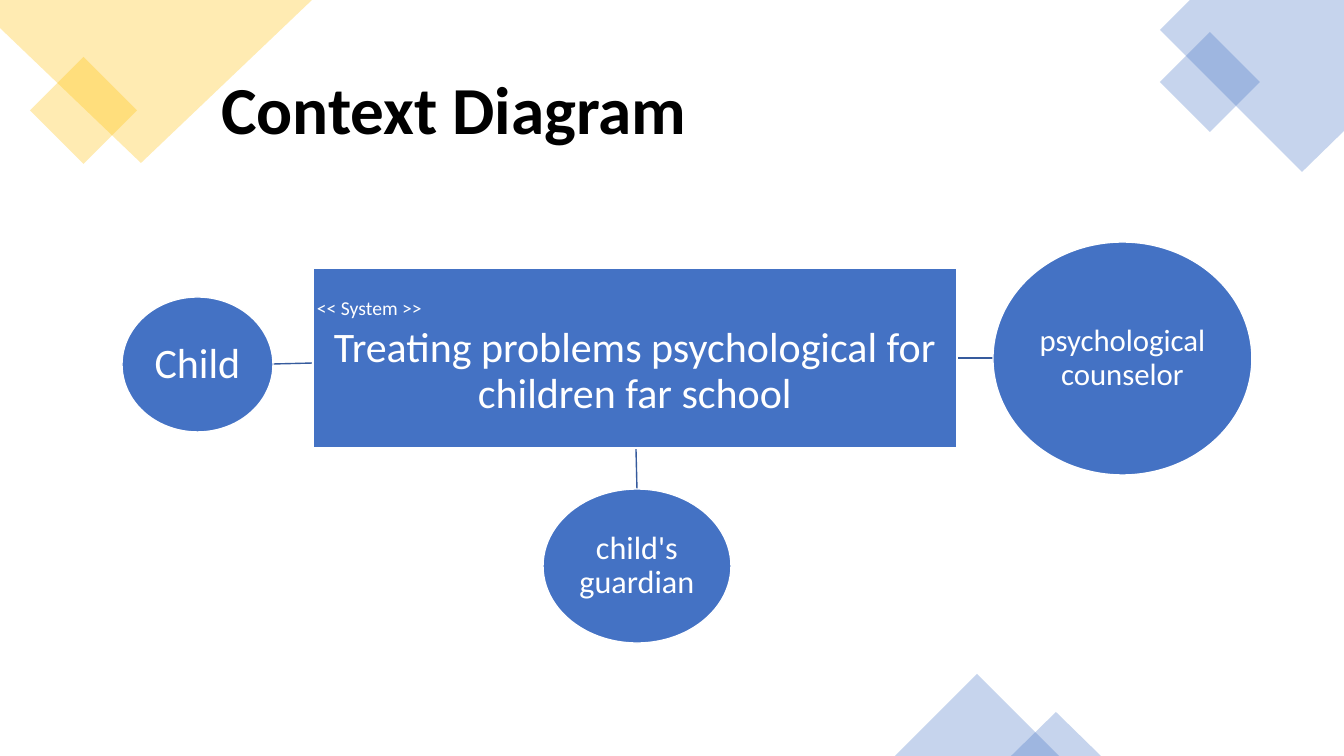
from lxml import etree
from pptx import Presentation
from pptx.dml.color import RGBColor
from pptx.enum.shapes import MSO_CONNECTOR, MSO_SHAPE as SHAPE
from pptx.enum.text import MSO_ANCHOR, PP_ALIGN as ALIGN
from pptx.oxml.ns import qn
from pptx.util import Pt

PX = 9144000 / 1008  # EMU per px
COLORS = {"yellow": "FFC000", "blue": "4472C4", "line": "365B9D",
          "white": "FFFFFF", "black": "000000"}


def px(*lengths):
    return [round(n * PX) for n in lengths]


def paint(sp, color, alpha=None):
    sp.shadow.inherit = False
    sp.fill.solid()
    sp.fill.fore_color.rgb = RGBColor.from_string(COLORS[color])
    if alpha is None:
        sp.line.color.rgb = RGBColor.from_string(COLORS["white"])
        sp.line.width = Pt(1)
    else:
        sp.line.fill.background()
        clr = sp.fill._xPr.find(".//" + qn("a:srgbClr"))
        etree.SubElement(clr, qn("a:alpha")).set("val", str(alpha * 1000))


prs = Presentation()
prs.slide_width, prs.slide_height = px(1344, 756)
s = prs.slides.add_slide(prs.slide_layouts[5])

# Corner decorations
for color, start, *points in [
    ("yellow", (0, 0), (312, 0), (141, 163), (0, 28)),
    ("blue", (1190, 0), (1344, 0), (1344, 131), (1302, 172), (1160, 30)),
]:
    builder = s.shapes.build_freeform(*start, scale=PX)
    builder.add_line_segments(points, close=True)
    paint(builder.convert_to_shape(), color, 30)

for kind, color, box in [
    (SHAPE.DIAMOND, "yellow", (30, 57, 107, 107)),
    (SHAPE.DIAMOND, "blue", (1160, 32, 100, 100)),
    (SHAPE.ISOSCELES_TRIANGLE, "blue", (895, 674, 164, 82)),
    (SHAPE.ISOSCELES_TRIANGLE, "blue", (1011, 712, 90, 44)),
]:
    paint(s.shapes.add_shape(kind, *px(*box)), color, 30)

# Title
title = s.shapes.title
title.left, title.top, title.width, title.height = px(211, 40, 1041, 146)
title.text_frame.vertical_anchor = MSO_ANCHOR.MIDDLE
p = title.text_frame.paragraphs[0]
p.text = "Context Diagram"
p.alignment = ALIGN.LEFT
p.line_spacing = 0.9
p.font.name, p.font.size, p.font.bold = "Calibri", Pt(48), True
p.font.color.rgb = RGBColor.from_string(COLORS["black"])

# Links between the system and its actors
for ends in [(273, 364, 313, 363), (636, 449, 637, 489), (957, 358, 993, 358)]:
    link = s.shapes.add_connector(MSO_CONNECTOR.STRAIGHT, *px(*ends))
    link.line.color.rgb = RGBColor.from_string(COLORS["line"])
    link.line.width = Pt(1)
    etree.SubElement(link._element.spPr, qn("a:effectLst"))

# System and actors: shape, box, inset, paragraphs (text, size, alignment)
for kind, box, inset, lines in [
    (SHAPE.RECTANGLE, (313, 268, 644, 180), 4, [
        ("<< System >>", 14, ALIGN.LEFT),
        ("Treating problems psychological for children far school", 30, ALIGN.CENTER)]),
    (SHAPE.OVAL, (122, 297, 151, 135), 8, [("Child", 30, ALIGN.CENTER)]),
    (SHAPE.OVAL, (543, 489, 188, 154), 6, [("child's guardian", 23, ALIGN.CENTER)]),
    (SHAPE.OVAL, (993, 242, 259, 233), 6, [("psychological counselor", 22, ALIGN.CENTER)]),
]:
    sp = s.shapes.add_shape(kind, *px(*box))
    paint(sp, "blue")
    tf = sp.text_frame
    tf.word_wrap = True
    tf.vertical_anchor = MSO_ANCHOR.MIDDLE
    tf.margin_left, tf.margin_top, tf.margin_right, tf.margin_bottom = px(*[inset] * 4)
    for i, (text, size, align) in enumerate(lines):
        p = tf.add_paragraph() if i else tf.paragraphs[0]
        p.text = text
        p.alignment = align
        p.line_spacing = 0.9
        p.space_after = Pt(5)
        p.font.name, p.font.size = "Calibri", Pt(size)
        p.font.color.rgb = RGBColor.from_string(COLORS["white"])

prs.save("out.pptx")
